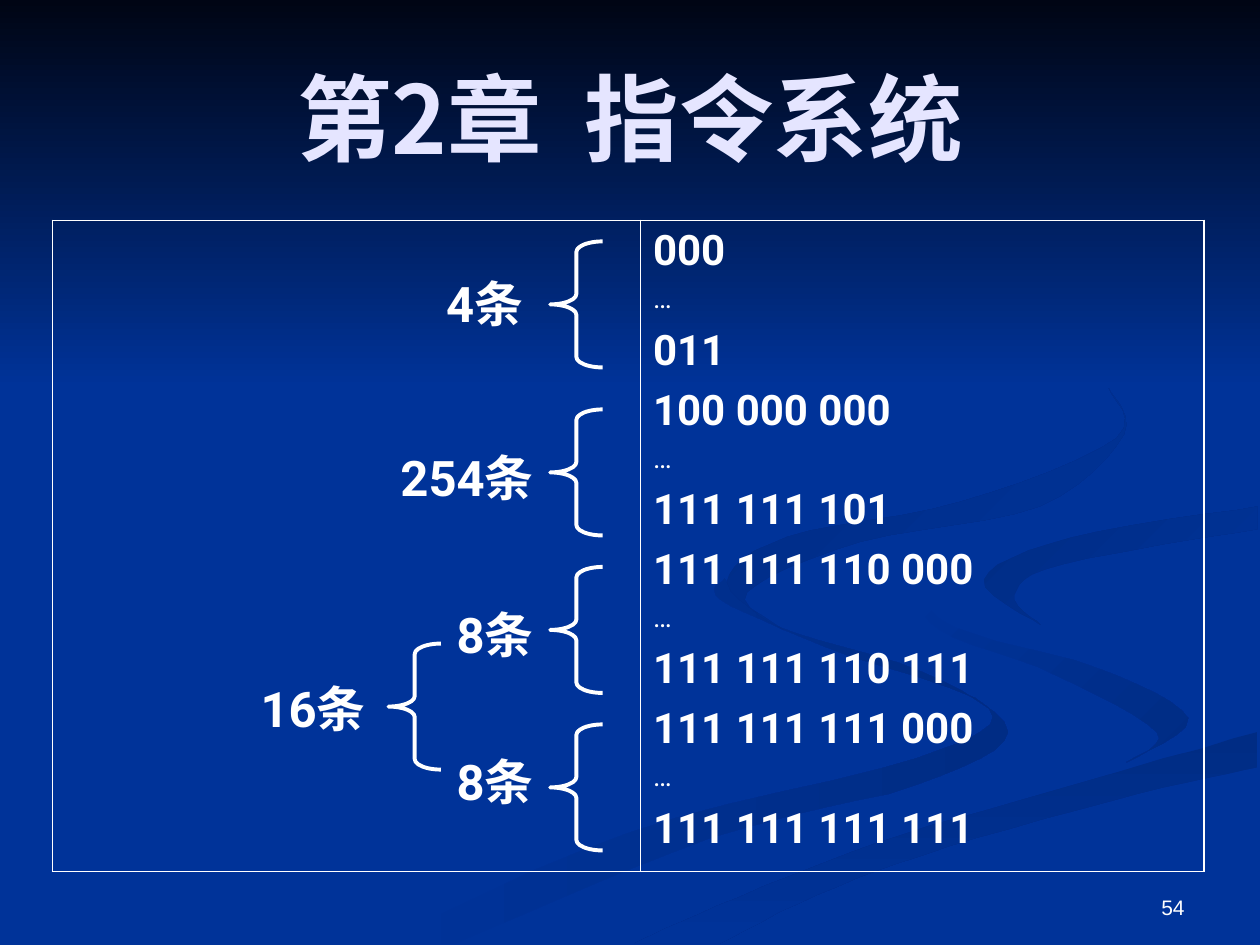
from lxml import etree
from pptx import Presentation
from pptx import util as u
from pptx.dml import color
from pptx.enum import shapes, text
from pptx.oxml import ns

COLORS = {
    "night": "000514",
    "blue": "003399",
    "shade": "002C84",
    "white": "FFFFFF",
    "title": "E5E5FF",
}
LATIN, CHINESE, NUMBER = "Roboto", "Noto Sans CJK SC", "Arial"
COLUMNS, ROWS = 120, 90
WIDTH, HEIGHT = u.Inches(10), u.Inches(7.5)

RIBBONS = [
    ("blue", "shade", 0,
     [(575, 459), (614, 496), (731, 533), (800, 581), (727, 623), (564, 665), (361, 749)],
     [(575, 459), (572, 476), (654, 513), (785, 562), (727, 602), (499, 661), (300, 749)]),
    ("blue", "shade", 45,
     [(724, 464), (758, 498), (870, 530), (943, 570), (894, 605)],
     [(724, 464), (746, 500), (838, 536), (918, 581), (894, 605)]),
    ("shade", "blue", 90,
     [(503, 749), (569, 719), (696, 669), (831, 629), (998, 581)],
     [(571, 749), (649, 710), (752, 672), (903, 630), (998, 609)]),
    ("shade", "blue", 45,
     [(826, 496), (781, 460), (849, 427), (998, 402)],
     [(826, 496), (805, 472), (843, 448), (998, 420)]),
    ("shade", "blue", 45,
     [(880, 308), (892, 345), (825, 402), (683, 430), (593, 470), (622, 500)],
     [(880, 308), (886, 348), (763, 398), (625, 426), (577, 462), (622, 500)]),
]

BRACE_ROWS = (23, 39, 54, 69)
LABELS = [
    ("4条", 20, 25.5, 31),
    ("254条", 20, 42, 32),
    ("8条", 41, 57, 11),
    ("8条", 41, 71, 11),
    ("16条", 18, 64, 18),
]
CODE_RANGES = [
    ("000", "011"),
    ("100 000 000", "111 111 101"),
    ("111 111 110 000", "111 111 110 111"),
    ("111 111 111 000", "111 111 111 111"),
]


def rgb(name):
    return color.RGBColor.from_string(COLORS[name])


def grid(column, row, columns, rows):
    return [int(share) for share in (
        WIDTH * column / COLUMNS, HEIGHT * row / ROWS,
        WIDTH * columns / COLUMNS, HEIGHT * rows / ROWS)]


def format_runs(paragraph, size, font=LATIN, tint="white", bold=True):
    for run in paragraph.runs:
        run.font.size = u.Pt(size)
        run.font.name = font
        run.font.bold = bold
        run.font.color.rgb = rgb(tint)
        properties = run._r.get_or_add_rPr()
        etree.SubElement(properties, ns.qn("a:ea"), typeface=CHINESE)


def set_gradient(fill, start, end, angle, reach=1.0):
    fill.gradient()
    fill.gradient_angle = (360 - angle) % 360
    for stop, tint, position in zip(fill.gradient_stops, (start, end), (0, reach)):
        stop.color.rgb = rgb(tint)
        stop.position = position


def smooth_edge(points, steps=6):
    padded = [points[0], *points, points[-1]]
    curve = []
    for before, start, end, after in zip(padded, padded[1:], padded[2:], padded[3:]):
        for step in range(steps):
            t = step / steps
            curve.append(tuple(
                b + t * (c - a) / 2 + t * t * (a - 2.5 * b + 2 * c - d / 2)
                + t ** 3 * (3 * (b - c) + d - a) / 2
                for a, b, c, d in zip(before, start, end, after)))
    return curve + [points[-1]]


def add_ribbon(slide, start, end, angle, outer, inner):
    outline = smooth_edge(outer) + smooth_edge(inner)[::-1]
    builder = slide.shapes.build_freeform(*outline[0], scale=WIDTH / 1000)
    builder.add_line_segments(outline[1:], close=True)
    shape = builder.convert_to_shape()
    shape.shadow.inherit = False
    shape.line.fill.background()
    set_gradient(shape.fill, start, end, angle)


def set_title(slide, wording):
    title = slide.shapes.title
    title.left, title.top, title.width, title.height = grid(6, 3.6, 108, 15)
    frame = title.text_frame
    frame.text = wording
    frame.vertical_anchor = text.MSO_ANCHOR.MIDDLE
    frame.paragraphs[0].alignment = text.PP_ALIGN.CENTER
    format_runs(frame.paragraphs[0], 54, CHINESE, "title")


def add_label(slide, wording, box, size=28, font=LATIN, bold=True,
              anchor=text.MSO_ANCHOR.TOP):
    frame = slide.shapes.add_textbox(*grid(*box)).text_frame
    frame.word_wrap = True
    frame.vertical_anchor = anchor
    frame.text = wording
    frame.paragraphs[0].alignment = text.PP_ALIGN.RIGHT
    format_runs(frame.paragraphs[0], size, font, bold=bold)


def add_brace(slide, column, row):
    shape = slide.shapes.add_shape(shapes.MSO_SHAPE.LEFT_BRACE, *grid(column, row, 5, 12))
    shape.adjustments[0] = 0.2
    shape.shadow.inherit = False
    shape.fill.background()
    shape.line.color.rgb = rgb("white")
    shape.line.width = u.Pt(2.25)


def set_borders(cell, widths):
    properties = cell._tc.get_or_add_tcPr()
    for side, width in zip("LRTB", widths):
        line = etree.SubElement(properties, ns.qn("a:ln" + side), w=str(int(u.Pt(width))))
        fill = etree.SubElement(line, ns.qn("a:solidFill"))
        etree.SubElement(fill, ns.qn("a:srgbClr"), val=COLORS["white"])
    cell.fill.background()


def add_code_table(slide):
    table = slide.shapes.add_table(1, 2, *grid(5, 21, 109.7, 62)).table
    table.first_row = table.horz_banding = False
    for column, span in zip(table.columns, (56, 53.7)):
        column.width = int(WIDTH * span / COLUMNS)
    outer, inner = 1.08, 0.45
    set_borders(table.cell(0, 0), (outer, inner, outer, outer))
    set_borders(table.cell(0, 1), (inner, outer, outer, outer))
    frame = table.cell(0, 1).text_frame
    frame.text = "\n".join(f"{first}\n…\n{last}" for first, last in CODE_RANGES)
    for paragraph in frame.paragraphs:
        gap = paragraph.text == "…"
        paragraph.space_before = u.Pt(4 if gap else 6)
        format_runs(paragraph, 16 if gap else 24, bold=not gap)


def main():
    presentation = Presentation()
    presentation.slide_width, presentation.slide_height = WIDTH, HEIGHT
    slide = presentation.slides.add_slide(presentation.slide_layouts[5])
    set_gradient(slide.background.fill, "night", "blue", 90, 0.41)
    for ribbon in RIBBONS:
        add_ribbon(slide, *ribbon)
    set_title(slide, "第2章  指令系统")
    add_code_table(slide)
    for row in BRACE_ROWS:
        add_brace(slide, 52.4, row)
    add_brace(slide, 37, 61.3)
    for wording, column, row, columns in LABELS:
        add_label(slide, wording, (column, row, columns, 6.8))
    add_label(slide, "54", (86, 82, 28, 6.2), 12, NUMBER, False, text.MSO_ANCHOR.BOTTOM)
    presentation.save("out.pptx")


if __name__ == "__main__":
    main()
